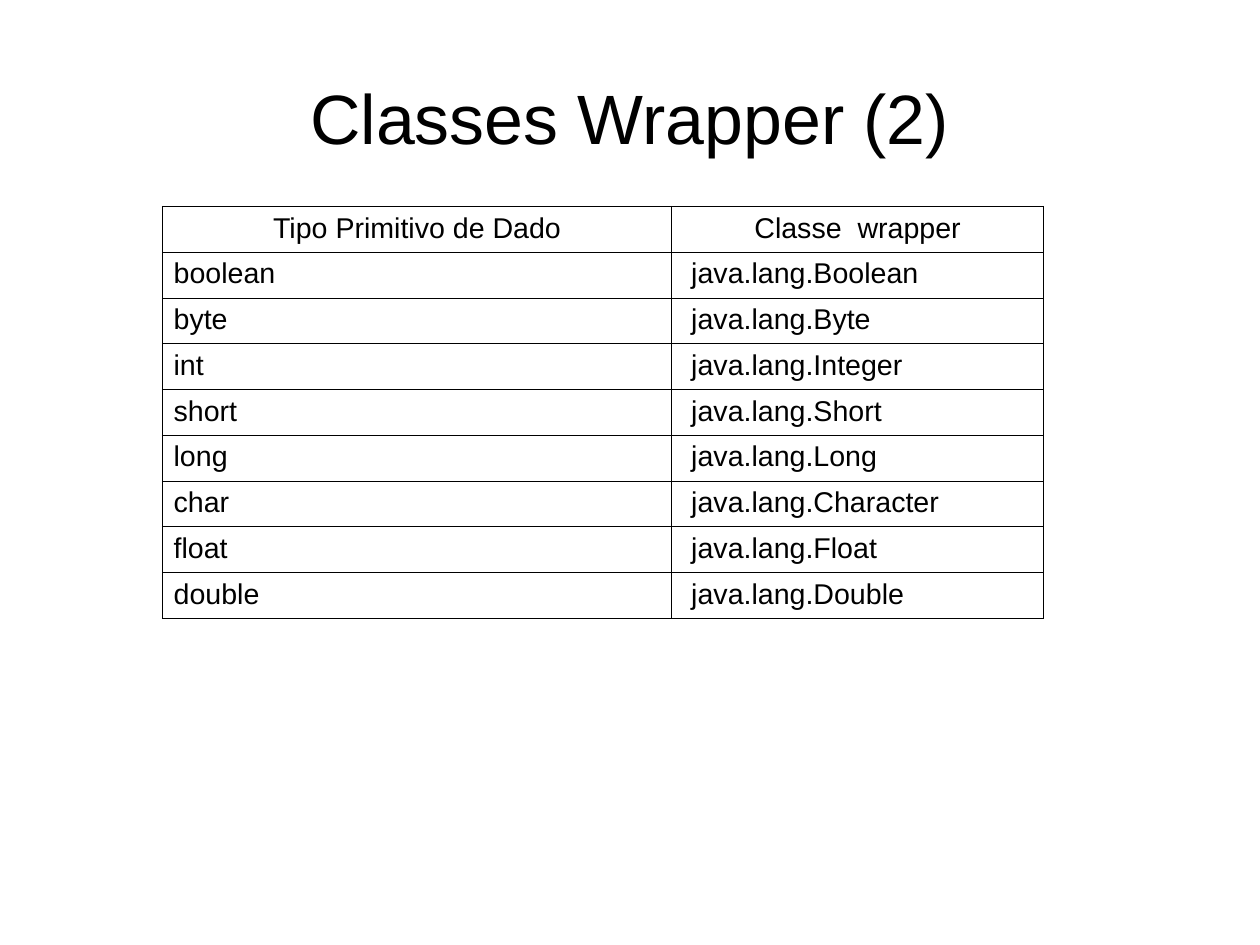
from lxml.etree import SubElement
from pptx import Presentation
from pptx.dml.color import RGBColor
from pptx.enum.text import MSO_ANCHOR as Anchor, PP_ALIGN as Align
from pptx.oxml.ns import qn
from pptx.util import Pt

BLACK = "000000"
HEADINGS = ("Tipo Primitivo de Dado", "Classe  wrapper")
WRAPPERS = {
    "boolean": "Boolean",
    "byte": "Byte",
    "int": "Integer",
    "short": "Short",
    "long": "Long",
    "char": "Character",
    "float": "Float",
    "double": "Double",
}
COLUMN_WIDTHS = (321.1, 234)
ROW_HEIGHT = 28.82


def color(hex_code):
    """Turn a hex string into a colour."""
    return RGBColor.from_string(hex_code)


def write(frame, text, size, align):
    """Put one formatted paragraph into a text frame."""
    frame.text = text
    paragraph = frame.paragraphs[0]
    paragraph.alignment = align
    font = paragraph.runs[0].font
    font.name = "Arial"
    font.size = Pt(size)
    font.color.rgb = color(BLACK)


def add_title(slide, text):
    """Add the centred slide title."""
    title = slide.shapes.add_textbox(Pt(39.7), Pt(23.8), Pt(714.3), Pt(99.4))
    frame = title.text_frame
    frame.word_wrap = True
    frame.vertical_anchor = Anchor.MIDDLE
    frame.margin_left = frame.margin_right = 0
    frame.margin_top = frame.margin_bottom = 0
    write(frame, text, 44, Align.CENTER)


def add_borders(cell):
    """Draw a thin line on every side of a cell."""
    properties = cell._tc.get_or_add_tcPr()
    for side in ("lnL", "lnR", "lnT", "lnB"):
        line = SubElement(properties, qn(f"a:{side}"), w=str(Pt(0.57)))
        fill = SubElement(line, qn("a:solidFill"))
        SubElement(fill, qn("a:srgbClr"), val=BLACK)


def add_type_table(slide, rows):
    """Add the table pairing primitive types with wrapper classes."""
    table = slide.shapes.add_table(
        len(rows), len(COLUMN_WIDTHS), Pt(102.2), Pt(130),
        Pt(sum(COLUMN_WIDTHS)), Pt(ROW_HEIGHT * len(rows)),
    ).table
    table.first_row = table.horz_banding = False
    for column, width in zip(table.columns, COLUMN_WIDTHS):
        column.width = Pt(width)
    for row_index, row in enumerate(rows):
        table.rows[row_index].height = Pt(ROW_HEIGHT)
        align = Align.JUSTIFY if row_index else Align.CENTER
        for column_index, text in enumerate(row):
            cell = table.cell(row_index, column_index)
            add_borders(cell)
            cell.fill.background()
            write(cell.text_frame, text, 18, align)


def main():
    """Build and save the wrapper classes slide."""
    deck = Presentation()
    deck.slide_width, deck.slide_height = Pt(793.75), Pt(595.25)
    slide = deck.slides.add_slide(deck.slide_layouts[6])
    add_title(slide, "Classes Wrapper (2)")
    pairs = [(name, f" java.lang.{wrapper}") for name, wrapper in WRAPPERS.items()]
    add_type_table(slide, [HEADINGS, *pairs])
    deck.save("out.pptx")


if __name__ == "__main__":
    main()
